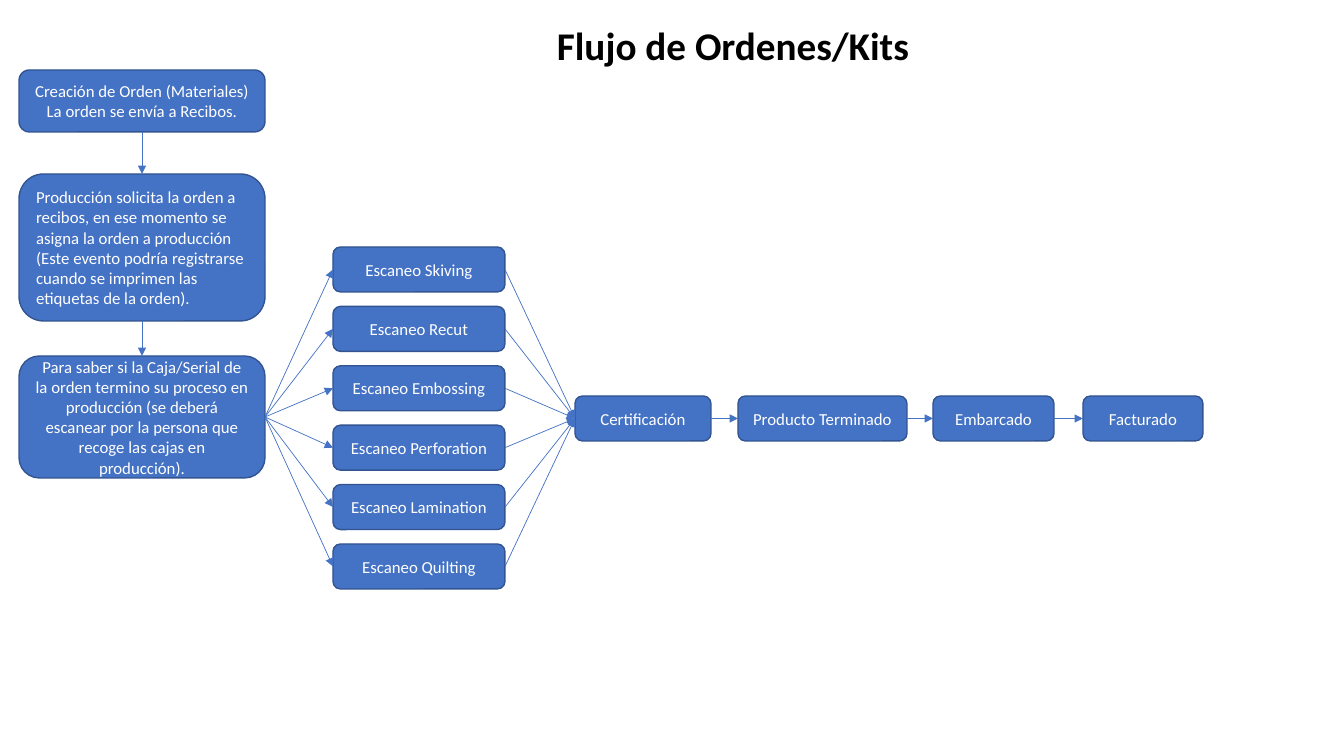
from lxml import etree
from pptx import Presentation
from pptx.dml.color import RGBColor
from pptx.enum.shapes import MSO_CONNECTOR as Connector, MSO_SHAPE as Shape
from pptx.enum.text import MSO_ANCHOR as Anchor, PP_ALIGN as Align
from pptx.oxml.ns import qn
from pptx.util import Emu, Pt

# Content: lengths in px, boxes as left, top, width, height
TITLE = ("Flujo de Ordenes/Kits", (547, 25, 398, 45))
PREPARATION = [
    (["Creación de Orden (Materiales)", "La orden se envía a Recibos."], 70, 62, Align.CENTER),
    (["Producción solicita la orden a recibos, en ese momento se asigna la orden a "
      "producción (Este evento podría registrarse cuando se imprimen las etiquetas "
      "de la orden)."], 174, 147, Align.LEFT),
    (["Para saber si la Caja/Serial de la orden termino su proceso en producción "
      "(se deberá escanear por la persona que recoge las cajas en producción)."],
     356, 122, Align.CENTER),
]
SCANS = ["Skiving", "Recut", "Embossing", "Perforation", "Lamination", "Quilting"]
DELIVERY = [
    ("Certificación", 575, 136),
    ("Producto Terminado", 738, 169),
    ("Embarcado", 933, 121),
    ("Facturado", 1083, 120),
]

PREPARATION_LEFT, PREPARATION_WIDTH = 19, 246
SCAN_LEFT, SCAN_TOP, SCAN_WIDTH, SCAN_STEP = 333, 247, 172, 59.4
DELIVERY_TOP, STEP_HEIGHT = 396, 45
BLUE, OUTLINE, WHITE, BLACK = "4472C4", "325491", "FFFFFF", "000000"
TOP, LEFT, BOTTOM, RIGHT = range(4)
PX = 12192000 / 1344


def px(*lengths):
    return [Emu(round(length * PX)) for length in lengths]


def color(value):
    return RGBColor.from_string(value)


def write(frame, lines, align, ink, **font_format):
    frame.word_wrap = True
    frame.vertical_anchor = Anchor.MIDDLE
    frame.text = "\n".join(lines)
    for paragraph in frame.paragraphs:
        paragraph.alignment = align
        for key, value in {"name": "Calibri", **font_format}.items():
            setattr(paragraph.font, key, value)
        paragraph.font.color.rgb = color(ink)


def add_step(lines, place, align=Align.CENTER):
    step = slide.shapes.add_shape(Shape.ROUNDED_RECTANGLE, *px(*place))
    step.shadow.inherit = False
    step.fill.solid()
    step.fill.fore_color.rgb = color(BLUE)
    step.line.color.rgb = color(OUTLINE)
    step.line.width = Pt(1)
    write(step.text_frame, lines, align, WHITE, size=Pt(12))
    return step


def add_arrow(source, source_side, target, target_side):
    arrow = slide.shapes.add_connector(Connector.STRAIGHT, 0, 0, 0, 0)
    arrow.begin_connect(source, source_side)
    arrow.end_connect(target, target_side)
    arrow.line.color.rgb = color(BLUE)
    arrow.line.width = Pt(0.5)
    etree.SubElement(arrow.line._get_or_add_ln(), qn("a:tailEnd"), type="triangle")
    etree.SubElement(arrow._element.spPr, qn("a:effectLst"))


prs = Presentation()
prs.slide_width, prs.slide_height = px(1344, 756)
slide = prs.slides.add_slide(prs.slide_layouts[6])

# Title
heading, heading_place = TITLE
title = slide.shapes.add_textbox(*px(*heading_place))
write(title.text_frame, [heading], Align.LEFT, BLACK, size=Pt(28), bold=True)
title.text_frame.paragraphs[0].line_spacing = 0.9

# Preparation column
preparation = [
    add_step(lines, (PREPARATION_LEFT, top, PREPARATION_WIDTH, height), align)
    for lines, top, height, align in PREPARATION
]
for upper, lower in zip(preparation, preparation[1:]):
    add_arrow(upper, BOTTOM, lower, TOP)

# Delivery row
delivery = [
    add_step([label], (left, DELIVERY_TOP, width, STEP_HEIGHT))
    for label, left, width in DELIVERY
]
for before, after in zip(delivery, delivery[1:]):
    add_arrow(before, RIGHT, after, LEFT)

# Scans between the last preparation and the first delivery step
for index, process in enumerate(SCANS):
    scan_top = SCAN_TOP + index * SCAN_STEP
    scan = add_step([f"Escaneo {process}"], (SCAN_LEFT, scan_top, SCAN_WIDTH, STEP_HEIGHT))
    add_arrow(preparation[-1], RIGHT, scan, LEFT)
    add_arrow(scan, RIGHT, delivery[0], LEFT)

prs.save("out.pptx")
